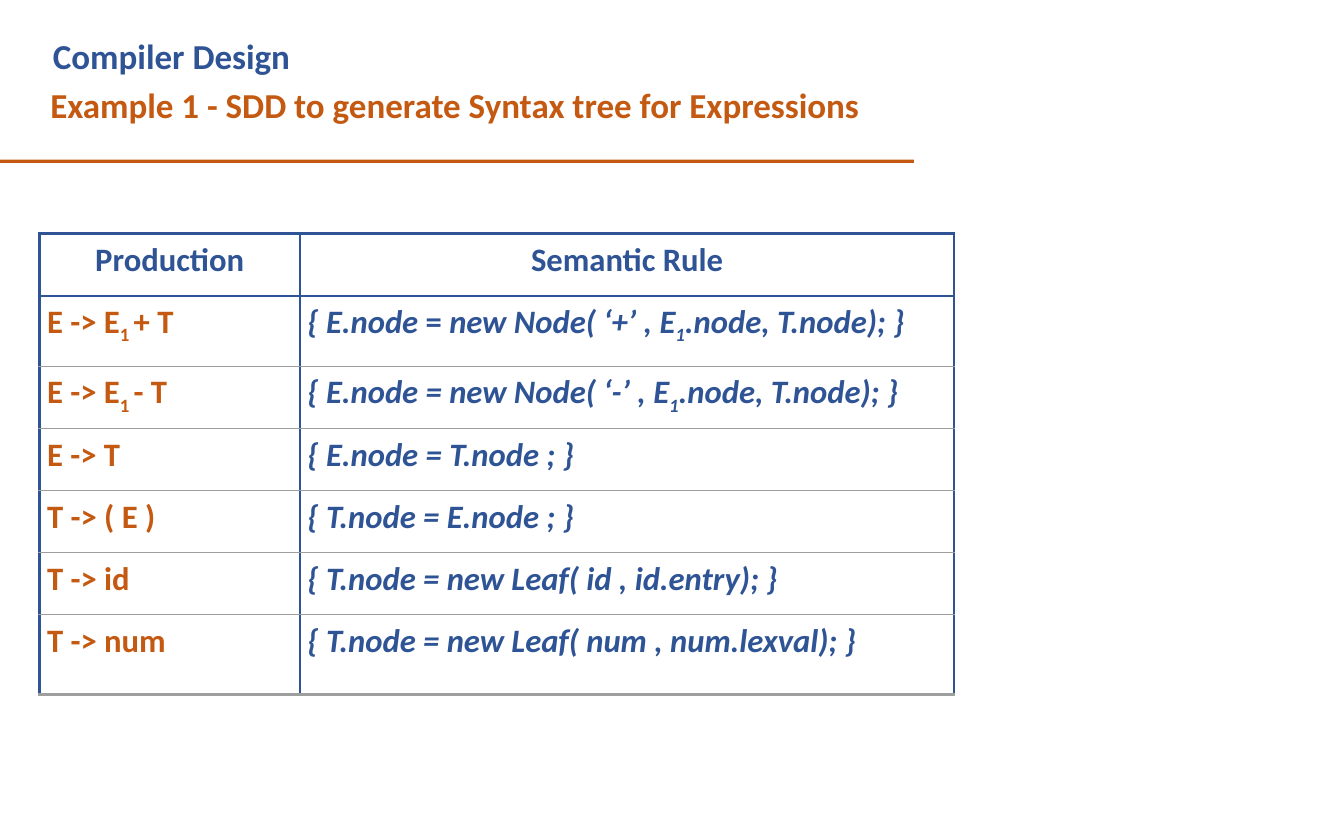
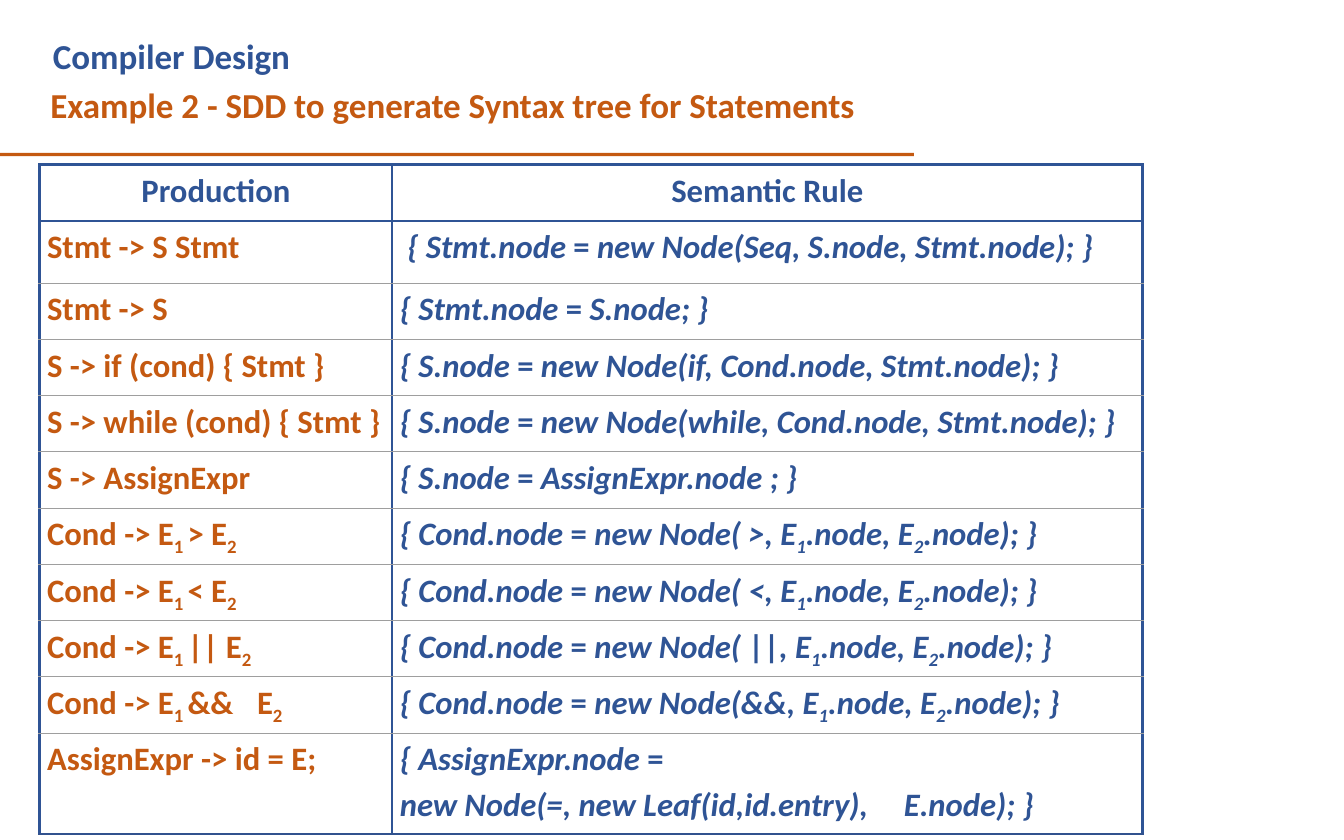
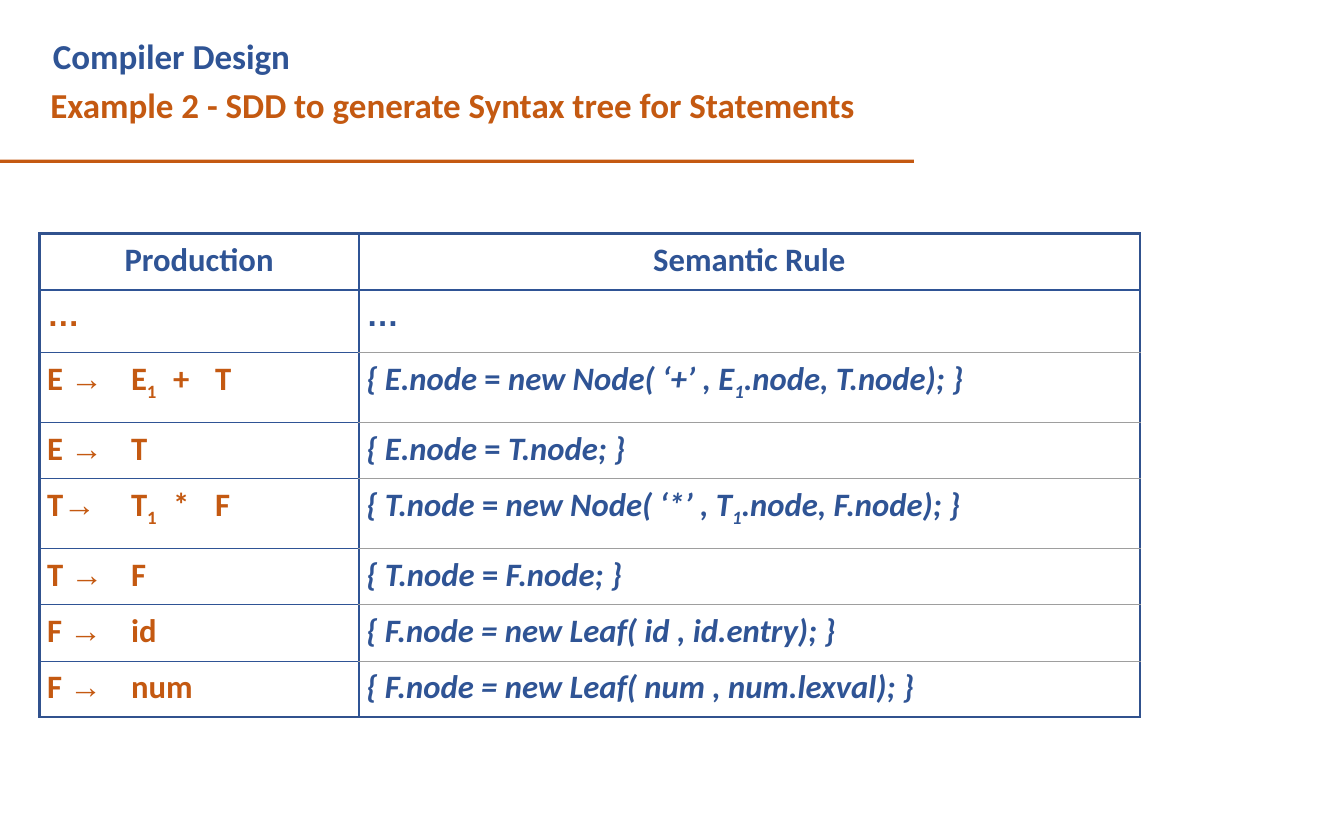
"""Build three slides of syntax-directed definitions for syntax trees."""
from dataclasses import dataclass
from typing import NamedTuple

from lxml import etree
from pptx import Presentation
from pptx import util as u
from pptx.dml.color import RGBColor
from pptx.enum import shapes, text
from pptx.oxml.ns import qn

BLUE, NAVY, ORANGE, GREY = "2F5495", "31528E", "C45911", "9E9E9E"
LEFT = 0.47
INDENT = 0.09
SUB_SIZE = 27.8


class Row(NamedTuple):
    """A table row; ~ encloses subscripts and ^ encloses upright text."""
    production: str
    rule: str
    indent: float = INDENT
    spacing: float = 1.0


class Edge(NamedTuple):
    """A cell border."""
    color: str
    width: float


@dataclass
class Definition:
    """A slide holding one table of productions and semantic rules."""
    heading: str
    bar_top: float
    table_top: float
    columns: tuple[float, float]
    heights: tuple[float, ...]
    rows: tuple[Row, ...]
    outer: str = BLUE
    bottom: str = NAVY
    grid: tuple[str, str] = (GREY, GREY)


EXPRESSIONS = Definition(
    "Example 1 - SDD to generate Syntax tree for Expressions",
    1.9, 2.78, (3.1, 7.79), (0.74, 0.84, *[0.74] * 4, 0.95),
    (
        Row("E -> E~1 ~+ T", "{ E.node ^= ^new Node( ‘+’ , E~1~.node, T.node); }"),
        Row("E -> E~1 ~- T", "{ E.node = new Node( ‘-’ , E~1~.node, T.node); }"),
        Row("E -> T", "{ E.node = T.node ; }"),
        Row("T -> ( E )", "{ T.node = E.node ; }"),
        Row("T -> id", "{ T.node = new Leaf( id , id.entry); }"),
        Row("T -> num", "{ T.node = new Leaf( num , num.lexval); }"),
    ),
    bottom=GREY,
)

STATEMENTS = Definition(
    "Example 2 - SDD to generate Syntax tree for Statements",
    1.82, 1.96, (4.2, 8.93), (0.67, 0.74, *[0.67] * 8, 1.2),
    (
        Row("Stmt -> S Stmt", "{ Stmt.node ^= ^new Node(Seq, S.node, Stmt.node); }", 0.18),
        Row("Stmt -> S", "{ Stmt.node ^= ^S.node; }"),
        Row("S -> if (cond) { Stmt }", "{ S.node ^= ^new Node(if, Cond.node, Stmt.node); }"),
        Row("S -> while (cond) { Stmt }", "{ S.node ^= ^new Node(while, Cond.node, Stmt.node); }"),
        Row("S -> AssignExpr", "{ S.node ^= ^AssignExpr.node ; }"),
        Row("Cond -> E~1 ~> E~2~", "{ Cond.node ^= ^new Node( >, E~1~.node, E~2~.node); }"),
        Row("Cond -> E~1 ~< E~2~", "{ Cond.node ^= ^new Node( <, E~1~.node, E~2~.node); }"),
        Row("Cond -> E~1 ~|| E~2~", "{ Cond.node ^= ^new Node( ^||^, E~1~.node, E~2~.node); }"),
        Row("Cond -> E~1 ~&&\tE~2~", "{ Cond.node ^= ^new Node(&&, E~1~.node, E~2~.node); }"),
        Row("AssignExpr -> id = E;",
            "{ AssignExpr.node ^=^\nnew Node(=, new Leaf(id,id.entry),\tE.node); }"),
    ),
)

STATEMENTS_CONTINUED = Definition(
    STATEMENTS.heading,
    1.9, 2.78, (3.8, 9.3), (0.67, 0.75, 0.83, 0.67, 0.83, *[0.67] * 3),
    (
        Row("^…^", "^…^"),
        Row("E ^→\t^E~1~\t+\tT", "{ E.node ^= ^new Node( ‘+’ , E~1~.node, T.node); }",
            spacing=0.96),
        Row("E ^→\t^T", "{ E.node ^= ^T.node; }"),
        Row("T^→\t^T~1~\t*\tF", "{ T.node ^= ^new Node( ‘*’ , T~1~.node, F.node); }",
            spacing=0.96),
        Row("T ^→\t^F", "{ T.node ^= ^F.node; }"),
        Row("F ^→\t^id", "{ F.node = new Leaf( id , id.entry); }"),
        Row("F ^→\t^num", "{ F.node = new Leaf( num , num.lexval); }"),
    ),
    outer=NAVY, grid=(BLUE, GREY),
)


def rgb(color: str) -> RGBColor:
    """Turn a hex string into a colour."""
    return RGBColor.from_string(color)


def add_run(p, words: str, size: float, color: str, italic: bool = False,
            subscript: bool = False) -> None:
    """Add one bold run, with arrows and ellipses in Arial."""
    r = p.add_run()
    r.text = words
    r.font.name = "Arial" if words[0] in "→…" else "Calibri"
    r.font.size = u.Pt(size)
    r.font.bold = True
    r.font.italic = italic
    r.font.color.rgb = rgb(color)
    if subscript:
        r.font._element.set("baseline", "-25000")


def set_indent(p, inches: float) -> None:
    """Set the left margin of a paragraph."""
    pPr = p._p.get_or_add_pPr()
    pPr.set("marL", str(u.Inches(inches)))
    pPr.set("indent", "0")


def add_marked(p, marked: str, color: str, italic: bool) -> None:
    """Add marked text to a paragraph run by run."""
    for i, part in enumerate(marked.split("~")):
        subscript = i % 2 == 1
        for j, words in enumerate(part.split("^")):
            if words:
                add_run(p, words, SUB_SIZE if subscript else 28, color,
                        italic and j % 2 == 0, subscript)


def fill_cell(cell, marked: str, color: str, italic: bool = False,
              indent: float = INDENT, spacing: float = 1.0) -> None:
    """Write the lines of a body cell."""
    tf = cell.text_frame
    for i, line in enumerate(marked.split("\n")):
        p = tf.add_paragraph() if i else tf.paragraphs[0]
        set_indent(p, indent)
        if i:
            p.space_before = u.Pt(5)
        if spacing != 1:
            p.line_spacing = spacing
        add_marked(p, line, color, italic)


def set_borders(cell, edges: dict[str, Edge]) -> None:
    """Draw the borders of a cell and leave it unfilled."""
    tcPr = cell._tc.get_or_add_tcPr()
    for side, edge in edges.items():
        ln = etree.SubElement(tcPr, qn(f"a:ln{side}"), w=str(u.Pt(edge.width)))
        solid = etree.SubElement(ln, qn("a:solidFill"))
        etree.SubElement(solid, qn("a:srgbClr"), val=edge.color)
    cell.fill.background()


def horizontal_edge(d: Definition, row: int, col: int) -> Edge:
    """Give the border above a row, counting the bottom as the last."""
    heavy = {0: d.outer, 1: BLUE, len(d.heights): d.bottom}
    return Edge(heavy[row], 2.25) if row in heavy else Edge(d.grid[col], 0.75)


def vertical_edge(d: Definition, col: int) -> Edge:
    """Give the border to the left of a column."""
    return Edge(BLUE if col == 1 else d.outer, 2.25)


def add_rules_table(s, d: Definition) -> None:
    """Add the table of productions and rules."""
    table = s.shapes.add_table(
        len(d.heights), 2, u.Inches(LEFT), u.Inches(d.table_top),
        u.Inches(sum(d.columns)), u.Inches(sum(d.heights))).table
    table.first_row = table.horz_banding = False
    for column, width in zip(table.columns, d.columns):
        column.width = u.Inches(width)
    for i, height in enumerate(d.heights):
        table.rows[i].height = u.Inches(height)
        for j in range(2):
            cell = table.cell(i, j)
            cell.margin_left = cell.margin_right = cell.margin_bottom = 0
            cell.margin_top = u.Inches(0.08)
            set_borders(cell, {
                "L": vertical_edge(d, j), "R": vertical_edge(d, j + 1),
                "T": horizontal_edge(d, i, j), "B": horizontal_edge(d, i + 1, j)})
    for j, label in enumerate(("Production", "Semantic Rule")):
        p = table.cell(0, j).text_frame.paragraphs[0]
        p.alignment = text.PP_ALIGN.CENTER
        add_run(p, label, 28, BLUE)
    for i, row in enumerate(d.rows, 1):
        fill_cell(table.cell(i, 0), row.production, ORANGE, spacing=row.spacing)
        fill_cell(table.cell(i, 1), row.rule, BLUE, True, row.indent)


def add_heading(s, d: Definition) -> None:
    """Fill the title placeholder and draw the bar below it."""
    sp = s.shapes.title
    sp.left, sp.top, sp.width, sp.height = map(u.Inches, (0.59, 0.31, 9.65, 1.19))
    tf = sp.text_frame
    tf.margin_left = tf.margin_right = tf.margin_bottom = 0
    tf.margin_top = u.Inches(0.1)
    tf.vertical_anchor = text.MSO_ANCHOR.TOP
    tf.auto_size = text.MSO_AUTO_SIZE.SHAPE_TO_FIT_TEXT
    lines = (("Compiler Design", BLUE, 0.04, 0), (d.heading, ORANGE, 0.01, 6))
    for i, (words, color, indent, before) in enumerate(lines):
        p = tf.add_paragraph() if i else tf.paragraphs[0]
        p.alignment = text.PP_ALIGN.LEFT
        p.space_before = u.Pt(before)
        set_indent(p, indent)
        add_run(p, words, 30, color)
    bar = s.shapes.add_shape(shapes.MSO_SHAPE.RECTANGLE, 0, u.Inches(d.bar_top),
                             u.Inches(10.88), u.Inches(0.04))
    bar.shadow.inherit = False
    bar.fill.solid()
    bar.fill.fore_color.rgb = rgb(ORANGE)
    bar.line.fill.background()


def main() -> None:
    """Build and save the presentation."""
    prs = Presentation()
    prs.slide_width, prs.slide_height = u.Inches(16), u.Inches(10)
    for d in (EXPRESSIONS, STATEMENTS, STATEMENTS_CONTINUED):
        s = prs.slides.add_slide(prs.slide_layouts[5])
        add_heading(s, d)
        add_rules_table(s, d)
    prs.save("out.pptx")


if __name__ == "__main__":
    main()
